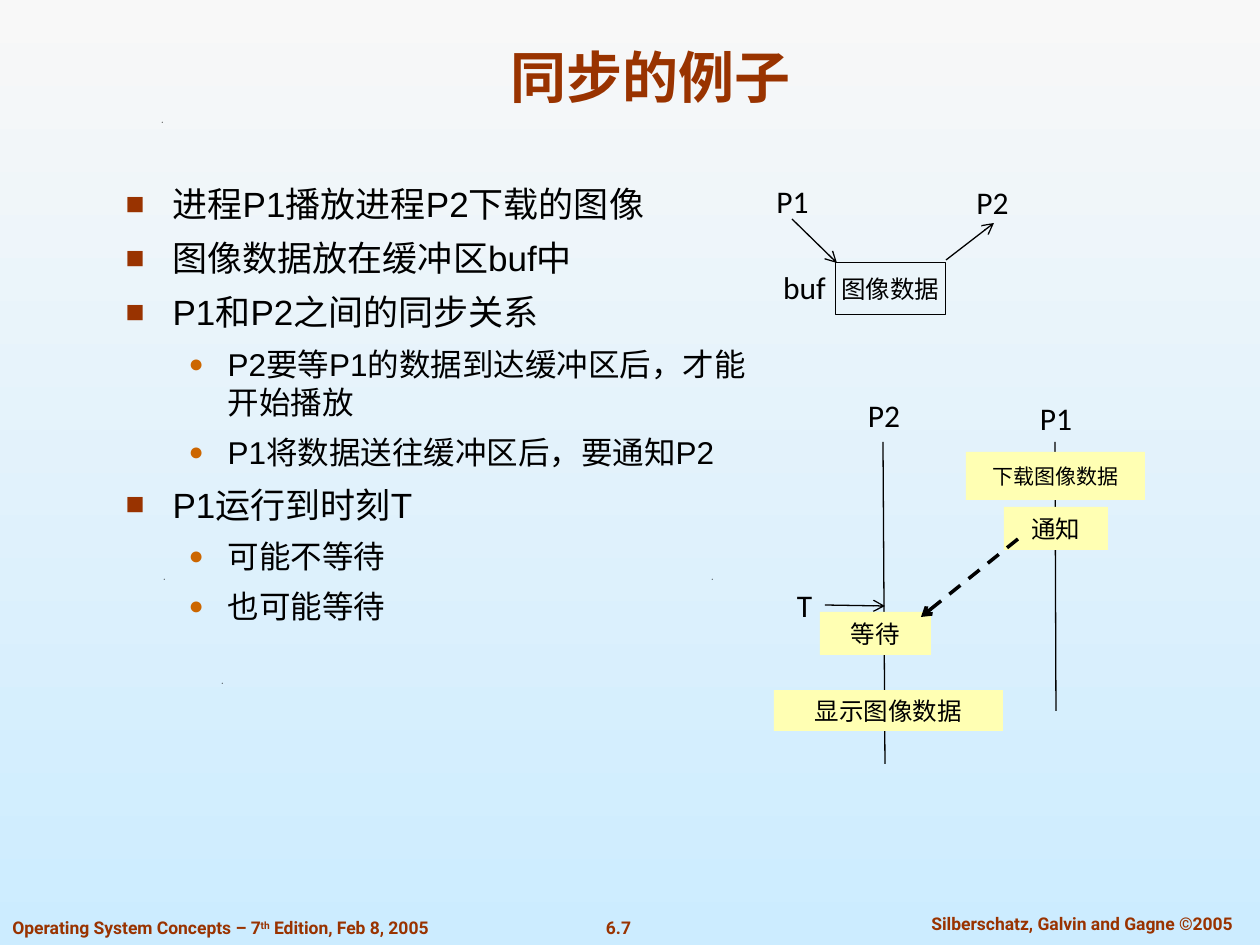
import lxml.etree
import pptx
import pptx.dml.color
import pptx.enum.dml
import pptx.enum.shapes
import pptx.enum.text
import pptx.oxml.ns
import pptx.util

RGBColor = pptx.dml.color.RGBColor
BLACK = RGBColor(0x00, 0x00, 0x00)
RUST = RGBColor(0x99, 0x33, 0x00)
ORANGE = RGBColor(0xCC, 0x66, 0x00)
YELLOW = RGBColor(0xFF, 0xFF, 0xB3)
SKY_TOP = RGBColor(0xF8, 0xF8, 0xF8)
SKY_BOTTOM = RGBColor(0xCC, 0xEC, 0xFF)
PX = 914400 / 126
ALIGN = pptx.enum.text.PP_ALIGN
ANCHOR = pptx.enum.text.MSO_ANCHOR


def place(shape, left, top, width, height):
    shape.left, shape.top, shape.width, shape.height = (
        round(value * PX) for value in (left, top, width, height))


def format_text(paragraph, size, font, color, bold=False, align=ALIGN.CENTER):
    paragraph.alignment = align
    for run in paragraph.runs:
        run.font.size = pptx.util.Pt(size)
        run.font.name = font
        run.font.bold = bold
        run.font.color.rgb = color


presentation = pptx.Presentation()
presentation.slide_width = pptx.util.Inches(10)
presentation.slide_height = pptx.util.Inches(7.5)
slide = presentation.slides.add_slide(presentation.slide_layouts[1])
background = slide.background.fill
background.gradient()
background.gradient_angle = 270
for stop, color in zip(background.gradient_stops, (SKY_TOP, SKY_BOTTOM)):
    stop.color.rgb = color

title = slide.shapes.title
place(title, 94, 32, 1113, 84)
title.text_frame.text = "同步的例子"
title.text_frame.auto_size = pptx.enum.text.MSO_AUTO_SIZE.NONE
title.text_frame.vertical_anchor = ANCHOR.BOTTOM
format_text(title.text_frame.paragraphs[0], 32, "Arial", RUST, True)

body = slide.placeholders[1]
place(body, 113, 176, 675, 617)
body.text_frame.auto_size = pptx.enum.text.MSO_AUTO_SIZE.NONE
bullets = [
    (0, "进程P1播放进程P2下载的图像"),
    (0, "图像数据放在缓冲区buf中"),
    (0, "P1和P2之间的同步关系"),
    (1, "P2要等P1的数据到达缓冲区后，才能开始播放"),
    (1, "P1将数据送往缓冲区后，要通知P2"),
    (0, "P1运行到时刻T"),
    (1, "可能不等待"),
    (1, "也可能等待"),
]
bullet_styles = [
    (20, 47, 47, "■", RUST, 90000),
    (18, 102, 39, "●", ORANGE, 80000),
]
body.text_frame.text = "\n".join(text for level, text in bullets)
for paragraph, (level, text) in zip(body.text_frame.paragraphs, bullets):
    size, margin, hanging, mark, color, mark_size = bullet_styles[level]
    paragraph.level = level
    paragraph.space_before = pptx.util.Pt(7)
    format_text(paragraph, size, "Arial", BLACK, align=ALIGN.LEFT)
    properties = paragraph._p.get_or_add_pPr()
    properties.set("marL", str(round(margin * PX)))
    properties.set("indent", str(round(-hanging * PX)))
    bullet_color = lxml.etree.SubElement(properties, pptx.oxml.ns.qn("a:buClr"))
    lxml.etree.SubElement(bullet_color, pptx.oxml.ns.qn("a:srgbClr"), val=str(color))
    lxml.etree.SubElement(properties, pptx.oxml.ns.qn("a:buSzPct"), val=str(mark_size))
    lxml.etree.SubElement(properties, pptx.oxml.ns.qn("a:buFont"), typeface="Arial")
    lxml.etree.SubElement(properties, pptx.oxml.ns.qn("a:buChar"), char=mark)

footers = [
    (0, 911, 518, ALIGN.LEFT, ["Operating System Concepts – 7", "th", " Edition, Feb 8, 2005"]),
    (578, 911, 81, ALIGN.CENTER, ["6.7"]),
    (895, 907, 374, ALIGN.CENTER, ["Silberschatz, Galvin and Gagne ©2005"]),
]
for left, top, width, align, parts in footers:
    footer = slide.shapes.add_textbox(0, 0, 0, 0)
    place(footer, left, top, width, 34)
    footer.text_frame.word_wrap = True
    paragraph = footer.text_frame.paragraphs[0]
    for part in parts:
        run = paragraph.add_run()
        run.text = part
        if part == "th":
            run._r.get_or_add_rPr().set("baseline", "30000")
    format_text(paragraph, 10, "Roboto", RUST, True, align)

for left, top in [(222, 683), (164, 579), (712, 579), (162, 122)]:
    builder = slide.shapes.build_freeform(left, top, scale=PX)
    builder.add_line_segments([(left + 1, top), (left, top + 1)])
    speck = builder.convert_to_shape()
    speck.shadow.inherit = False
    speck.fill.solid()
    speck.fill.fore_color.rgb = BLACK
    speck.line.fill.background()

connectors = [
    (792, 219, 837, 263, 0.75, True, False),
    (946, 260, 994, 223, 0.75, True, False),
    (883, 442, 885, 764, 0.75, False, False),
    (1055, 442, 1056, 711, 0.75, False, False),
    (825, 605, 885, 606, 0.75, True, False),
    (1018, 539, 921, 617, 2, True, True),
]
boxes = [
    (835, 262, 111, 53, "图像数据", 14, None),
    (966, 452, 179, 48, "下载图像数据", 12, YELLOW),
    (774, 690, 229, 41, "显示图像数据", 14, YELLOW),
    (820, 612, 111, 43, "等待", 14, YELLOW),
    (1004, 507, 104, 43, "通知", 14, YELLOW),
]
labels = [
    (968, 174, 49, 55, "P2"),
    (760, 174, 65, 53, "P1"),
    (774, 260, 61, 53, "buf"),
    (843, 397, 82, 35, "P2"),
    (1025, 399, 62, 38, "P1"),
    (784, 587, 41, 35, "T"),
]

dashed_connectors = [item for item in connectors if item[-1]]
solid_connectors = [item for item in connectors if not item[-1]]
for item in solid_connectors + boxes + labels + dashed_connectors:
    if item in connectors:
        x1, y1, x2, y2, weight, arrow, dashed = item
        connector = slide.shapes.add_connector(
            pptx.enum.shapes.MSO_CONNECTOR.STRAIGHT,
            *(round(value * PX) for value in (x1, y1, x2, y2)))
        connector.line.color.rgb = BLACK
        connector.line.width = pptx.util.Pt(weight)
        if dashed:
            connector.line.dash_style = pptx.enum.dml.MSO_LINE.DASH
        if arrow:
            lxml.etree.SubElement(
                connector.line._get_or_add_ln(), pptx.oxml.ns.qn("a:tailEnd"), type="arrow")
        lxml.etree.SubElement(connector._element.spPr, pptx.oxml.ns.qn("a:effectLst"))
        continue
    if item in boxes:
        left, top, width, height, text, size, color = item
        shape = slide.shapes.add_shape(pptx.enum.shapes.MSO_SHAPE.RECTANGLE, 0, 0, 0, 0)
        shape.shadow.inherit = False
        if color:
            shape.fill.solid()
            shape.fill.fore_color.rgb = color
            shape.line.fill.background()
        else:
            shape.fill.background()
            shape.line.color.rgb = BLACK
            shape.line.width = pptx.util.Pt(0.5)
    else:
        left, top, width, height, text = item
        size = 18
        shape = slide.shapes.add_textbox(0, 0, 0, 0)
    place(shape, left, top, width, height)
    frame = shape.text_frame
    frame.text = text
    frame.word_wrap = True
    frame.vertical_anchor = ANCHOR.MIDDLE
    frame.margin_left = frame.margin_right = frame.margin_top = frame.margin_bottom = 0
    format_text(frame.paragraphs[0], size, "Calibri", BLACK)

presentation.save("out.pptx")
